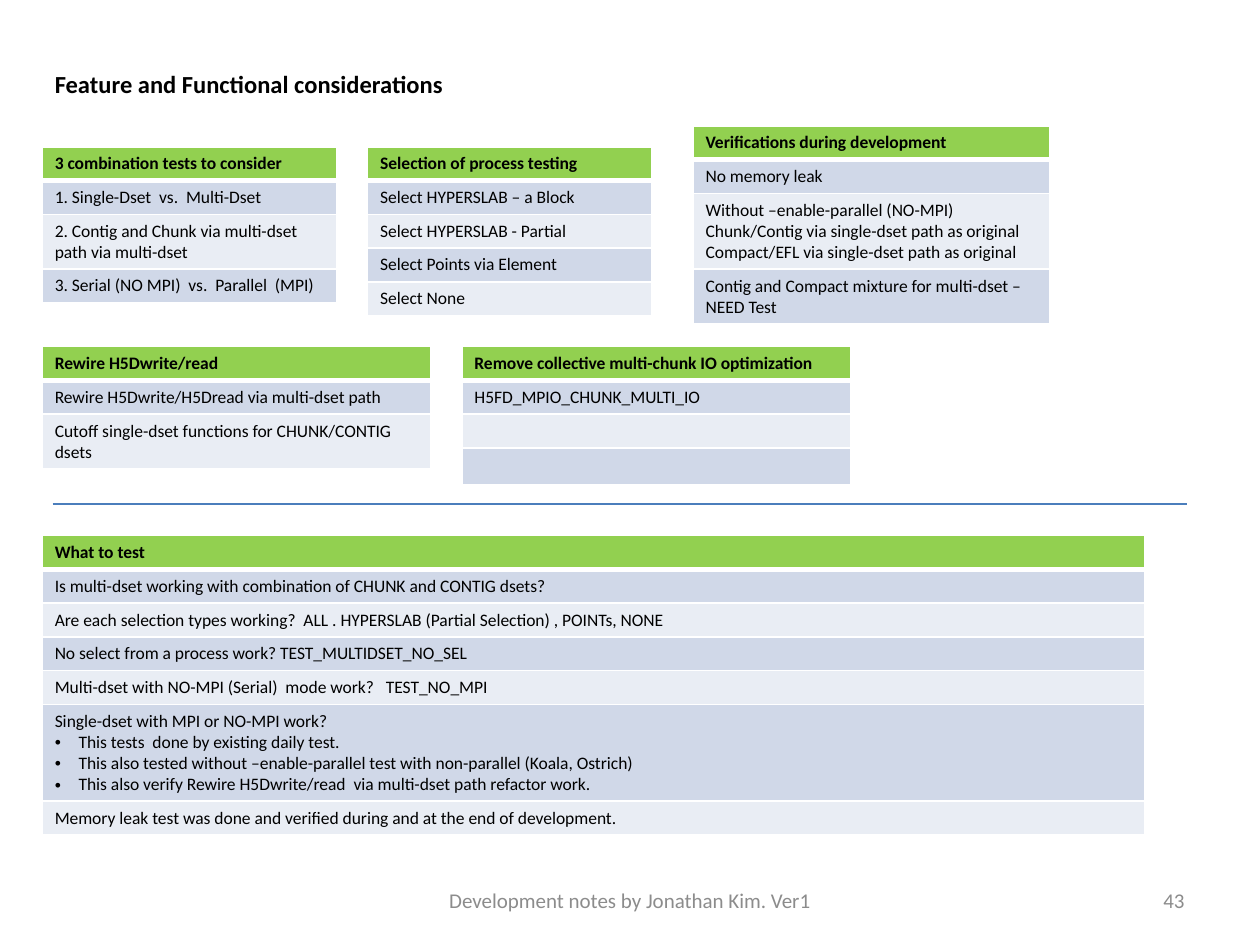
from lxml import etree
from pptx import Presentation
from pptx.dml.color import RGBColor
from pptx.enum import shapes, text
from pptx.oxml.ns import qn
from pptx.util import Cm, Pt

BLACK = RGBColor(0x00, 0x00, 0x00)
GREEN = RGBColor(0x92, 0xD0, 0x50)
BAND_DARK = RGBColor(0xD0, 0xD8, 0xE8)
BAND_LIGHT = RGBColor(0xE9, 0xED, 0xF4)
WHITE = RGBColor(0xFF, 0xFF, 0xFF)
BLUE = RGBColor(0x4B, 0x7E, 0xBC)
GREY = RGBColor(0x8C, 0x8C, 0x8C)
FONT = "Calibri"
LEFT = 0.85
LINE, TWO_LINES, THREE_LINES, FOUR_LINES = 0.68, 1.1, 1.52, 1.94
BULLET = "• "

TOPICS = [
    ((LEFT, 2.96, 5.93), [
        ("3 combination tests to consider", LINE),
        ("1. Single-Dset  vs.  Multi-Dset", LINE),
        ("2. Contig and Chunk via multi-dset path via multi-dset", TWO_LINES),
        ("3. Serial (NO MPI)  vs.  Parallel  (MPI)", LINE)]),
    ((13.97, 2.54, 7.2), [
        ("Verifications during development", LINE),
        ("No memory leak", LINE),
        ("Without –enable-parallel (NO-MPI)\n"
         "Chunk/Contig via single-dset path as original\n"
         "Compact/EFL via single-dset path as original", THREE_LINES),
        ("Contig and Compact mixture for multi-dset – NEED Test", TWO_LINES)]),
    ((7.41, 2.96, 5.72), [
        ("Selection of process testing", LINE),
        ("Select HYPERSLAB – a Block", LINE),
        ("Select HYPERSLAB - Partial", LINE),
        ("Select Points via Element", LINE),
        ("Select None", LINE)]),
    ((LEFT, 6.99, 7.83), [
        ("Rewire H5Dwrite/read", LINE),
        ("Rewire H5Dwrite/H5Dread via multi-dset path", LINE),
        ("Cutoff single-dset functions for CHUNK/CONTIG dsets", TWO_LINES)]),
    ((9.31, 6.99, 7.83), [
        ("Remove collective multi-chunk IO optimization", LINE),
        ("H5FD_MPIO_CHUNK_MULTI_IO", LINE),
        ("", LINE),
        ("", 0.74)]),
    ((LEFT, 10.8, 22.22), [
        ("What to test", LINE),
        ("Is multi-dset working with combination of CHUNK and CONTIG dsets?", LINE),
        ("Are each selection types working?  ALL . HYPERSLAB (Partial Selection) , POINTs, NONE", LINE),
        ("No select from a process work? TEST_MULTIDSET_NO_SEL", LINE),
        ("Multi-dset with NO-MPI (Serial)  mode work?   TEST_NO_MPI", LINE),
        ("Single-dset with MPI or NO-MPI work?\n"
         "• This tests  done by existing daily test.\n"
         "• This also tested without –enable-parallel test with non-parallel (Koala, Ostrich)\n"
         "• This also verify Rewire H5Dwrite/read  via multi-dset path refactor work.", FOUR_LINES),
        ("Memory leak test was done and verified during and at the end of development.", LINE)]),
]


def format_runs(paragraph, size, color, bold=False):
    """Give every run of a paragraph the same font."""
    for run in paragraph.runs:
        run.font.name = FONT
        run.font.size = Pt(size)
        run.font.bold = bold
        run.font.color.rgb = color


def add_bullet(paragraph):
    """Turn a paragraph into a bullet with a hanging indent."""
    properties = paragraph._p.get_or_add_pPr()
    properties.set("marL", str(Cm(0.48)))
    properties.set("indent", str(-Cm(0.48)))
    etree.SubElement(properties, qn("a:buFont")).set("typeface", "Arial")
    etree.SubElement(properties, qn("a:buChar")).set("char", BULLET.strip())


def set_borders(cell, top, bottom):
    """Draw white borders of the given point widths above and below a cell."""
    properties = cell._tc.get_or_add_tcPr()
    sides = (("L", 1), ("R", 1), ("T", top), ("B", bottom))
    for position, (side, width) in enumerate(sides):
        border = etree.Element(qn("a:ln" + side), w=str(Pt(width)))
        fill = etree.SubElement(border, qn("a:solidFill"))
        etree.SubElement(fill, qn("a:srgbClr")).set("val", str(WHITE))
        properties.insert(position, border)


def fill_cell(cell, wording, is_header):
    """Write the paragraphs of one table cell."""
    cell.text_frame.text = wording
    for paragraph in cell.text_frame.paragraphs:
        if paragraph.text.startswith(BULLET):
            paragraph.text = paragraph.text[len(BULLET):]
            add_bullet(paragraph)
        format_runs(paragraph, 10, BLACK, is_header)
        if not paragraph.runs:
            etree.SubElement(paragraph._p, qn("a:endParaRPr")).set("sz", "1000")


def add_topic(slide, box, rows):
    """Add a one-column table with a green heading and banded rows."""
    left, top, width = box
    height = sum(row_height for _, row_height in rows)
    table = slide.shapes.add_table(
        len(rows), 1, Cm(left), Cm(top), Cm(width), Cm(height)).table
    for index, (wording, row_height) in enumerate(rows):
        table.rows[index].height = Cm(row_height)
        cell = table.cell(index, 0)
        fill_cell(cell, wording, index == 0)
        cell.fill.solid()
        band = BAND_DARK if index % 2 else BAND_LIGHT
        cell.fill.fore_color.rgb = band if index else GREEN
        set_borders(cell, 3 if index == 1 else 1, 1 if index else 3)


def add_title(slide, left, top, width, height):
    """Place and format the slide title."""
    title = slide.shapes.title
    title.left, title.top, title.width, title.height = map(Cm, (left, top, width, height))
    frame = title.text_frame
    frame.text = "Feature and Functional considerations"
    frame.word_wrap = True
    frame.auto_size = text.MSO_AUTO_SIZE.SHAPE_TO_FIT_TEXT
    frame.vertical_anchor = text.MSO_ANCHOR.TOP
    frame.paragraphs[0].alignment = text.PP_ALIGN.LEFT
    format_runs(frame.paragraphs[0], 14, BLACK, True)


def add_divider(slide, left, top, width):
    """Draw the rule between the topics and the test list."""
    divider = slide.shapes.add_connector(
        shapes.MSO_CONNECTOR.STRAIGHT, Cm(left), Cm(top), Cm(left + width), Cm(top))
    divider.line.color.rgb = BLUE
    divider.line.width = Pt(0.75)
    etree.SubElement(divider._element.spPr, qn("a:effectLst"))


def add_footer(slide, left, width, wording, alignment):
    """Add one grey note at the foot of the slide."""
    frame = slide.shapes.add_textbox(Cm(left), Cm(17.65), Cm(width), Cm(1.01)).text_frame
    frame.word_wrap = True
    frame.vertical_anchor = text.MSO_ANCHOR.MIDDLE
    frame.text = wording
    frame.paragraphs[0].alignment = alignment
    format_runs(frame.paragraphs[0], 12, GREY)


def main():
    """Build the slide and save it."""
    deck = Presentation()
    deck.slide_width, deck.slide_height = Cm(25.4), Cm(19.05)
    slide = deck.slides.add_slide(deck.slide_layouts[5])
    add_title(slide, LEFT, 1.27, 23.09, 0.86)
    for box, rows in TOPICS:
        add_topic(slide, box, rows)
    add_divider(slide, 1.06, 10.16, 22.86)
    add_footer(slide, 8.68, 8.04, "Development notes by Jonathan Kim. Ver1", text.PP_ALIGN.CENTER)
    add_footer(slide, 18.2, 5.93, "43", text.PP_ALIGN.RIGHT)
    deck.save("out.pptx")


if __name__ == "__main__":
    main()
